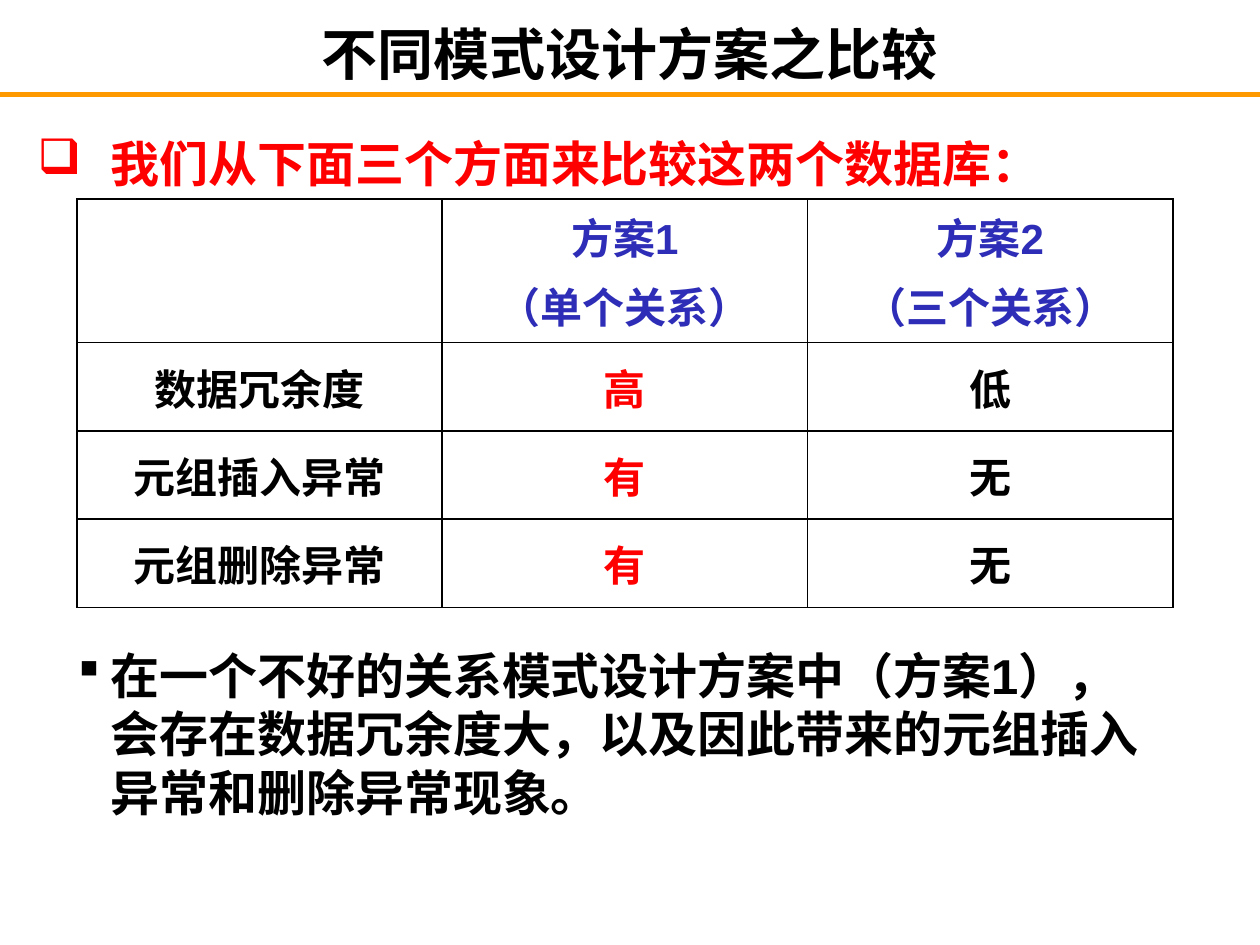
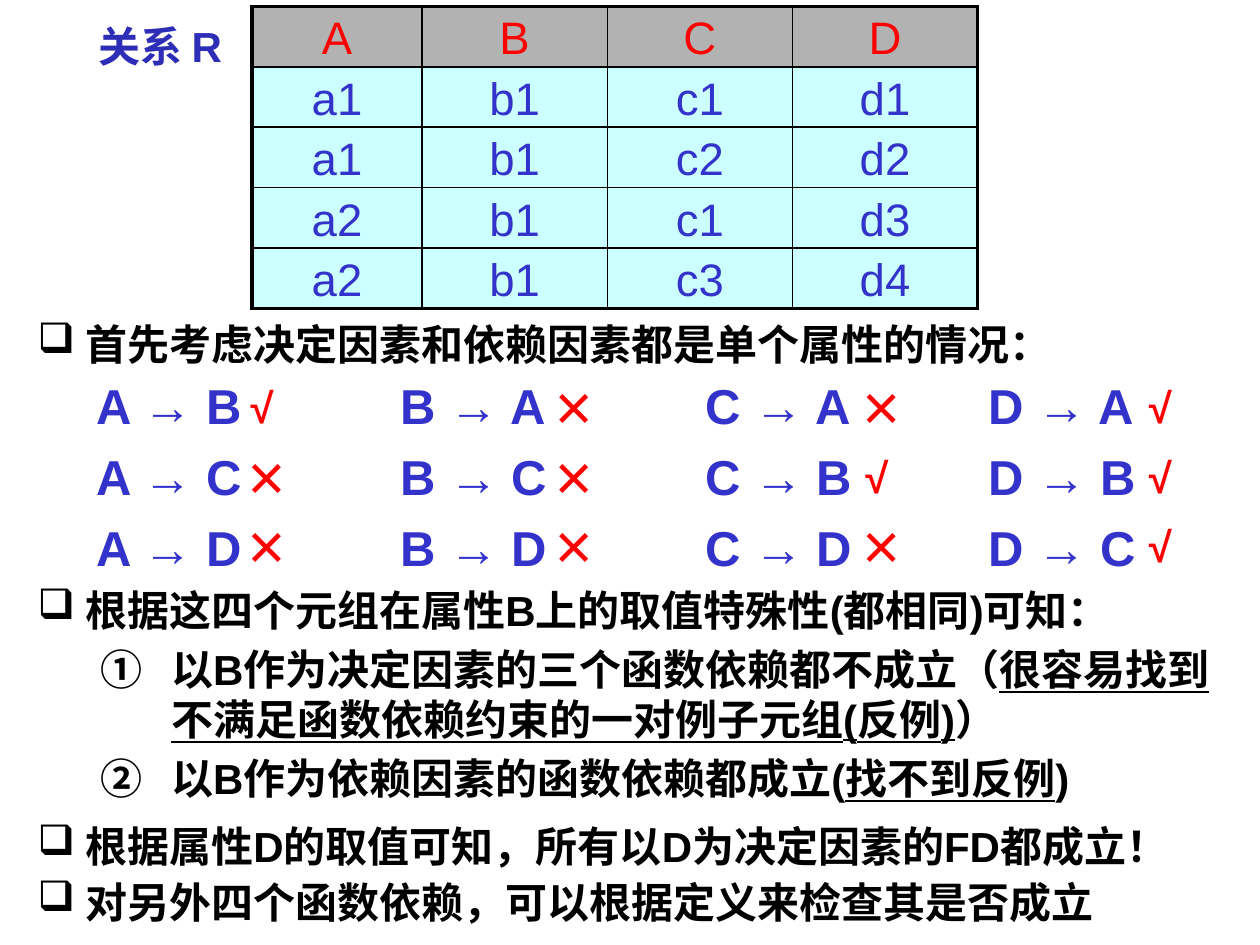
from lxml import etree
from pptx import Presentation
from pptx import util as u
from pptx.dml import color
from pptx.enum import lang, shapes, text
from pptx.oxml import ns

BLACK, WHITE, RED, ORANGE = "000000", "FFFFFF", "FF0000", "FF9900"
NAVY, BLUE, GRAY, CYAN = "2D2DB7", "3333CC", "B2B2B2", "CCFFFF"
SERIF, SANS, SYMBOLS = "Times New Roman", "Arial", "Wingdings"
WIDTH, HEIGHT = 10, 7.5
MARGIN, BODY_WIDTH = 0.2, 9.58
SQUARE, DOT, CIRCLED = "q", "§", "circleNumDbPlain"
ITEM_INDENT, NUMBER_INDENT = (0.38, -0.38), (1.06, -0.56)

TITLE = "不同模式设计方案之比较"
COMPARE_HEADING = "我们从下面三个方面来比较这两个数据库："
COMPARISON = [
    ("", "方案1\n（单个关系）", "方案2\n（三个关系）"),
    ("数据冗余度", "高", "低"),
    ("元组插入异常", "有", "无"),
    ("元组删除异常", "有", "无"),
]
CONCLUSION = ("在一个不好的关系模式设计方案中（方案1），会存在数据冗余度大，"
              "以及因此带来的元组插入异常和删除异常现象。")

RELATION_NAME = "关系 R"
RELATION = ["A B C D".split(), "a1 b1 c1 d1".split(), "a1 b1 c2 d2".split(),
            "a2 b1 c1 d3".split(), "a2 b1 c3 d4".split()]
SINGLE_HEADING = "首先考虑决定因素和依赖因素都是单个属性的情况："
DEPENDENCIES = [
    {"left": 0.67, "width": 2.08, "mark": 1.89, "holds": {"A → B": True, "A → C": False, "A → D": False}},
    {"left": 3.08, "width": 2, "mark": 4.33, "holds": {"B → A": False, "B → C": False, "B → D": False}},
    {"left": 5.5, "width": 1.92, "mark": 6.77, "holds": {"C → A": False, "C → B": True, "C → D": False}},
    {"left": 7.75, "width": 2, "mark": 9.02, "holds": {"D → A": True, "D → B": True, "D → C": True}},
]
MARKS = {True: ("√", SANS), False: ("☓", SERIF)}
DEPENDENCY_TOP, MARK_TOP, MARK_STEP = 2.89, 3.03, 0.55
FINDINGS = [
    (SQUARE, ITEM_INDENT, ["根据这四个元组在属性B上的取值特殊性(都相同)可知："]),
    (CIRCLED, NUMBER_INDENT, ["以B作为决定因素的三个函数依赖都不成立（",
                              "很容易找到不满足函数依赖约束的一对例子元组(反例)", "）"]),
    (CIRCLED, NUMBER_INDENT, ["以B作为依赖因素的函数依赖都成立(", "找不到反例", ")"]),
]
REMARKS = [(6.46, "根据属性D的取值可知，所有以D为决定因素的FD都成立！"),
           (6.91, "对另外四个函数依赖，可以根据定义来检查其是否成立")]


def rgb(value):
    return color.RGBColor.from_string(value)


def inches(*values):
    return [u.Inches(value) for value in values]


def add_run(paragraph, words, size, hue, font=SANS, bold=True, underline=None):
    run = paragraph.add_run()
    run.text = words
    run.font.size, run.font.name = u.Pt(size), font
    run.font.bold, run.font.underline = bold, underline
    run.font.color.rgb = rgb(hue)
    run.font.language_id = lang.MSO_LANGUAGE_ID.SIMPLIFIED_CHINESE


def set_bullet(paragraph, bullet, indent):
    properties = paragraph._p.get_or_add_pPr()
    properties.set("marL", str(u.Inches(indent[0])))
    properties.set("indent", str(u.Inches(indent[1])))
    if bullet == CIRCLED:
        etree.SubElement(properties, ns.qn("a:buAutoNum"), type=bullet)
    elif bullet:
        etree.SubElement(properties, ns.qn("a:buFont"), typeface=SYMBOLS, charset="2")
        etree.SubElement(properties, ns.qn("a:buChar"), char=bullet)


def next_paragraph(frame, index, gap=0):
    if index == 0:
        return frame.paragraphs[0]
    paragraph = frame.add_paragraph()
    paragraph.space_before = u.Pt(gap)
    return paragraph


def add_text(slide, box, items, size, hue, font=SANS, spacing=None, inset=0.05):
    frame = slide.shapes.add_textbox(*inches(*box)).text_frame
    frame.word_wrap = True
    frame.margin_top = frame.margin_bottom = u.Inches(inset)
    for index, (bullet, indent, parts) in enumerate(items):
        paragraph = next_paragraph(frame, index, size * 0.2)
        set_bullet(paragraph, bullet, indent)
        paragraph.line_spacing = spacing
        for position, words in enumerate(parts):
            add_run(paragraph, words, size, hue, font, underline=position == 1 or None)


def set_borders(cell, widths):
    properties = cell._tc.get_or_add_tcPr()
    for index, (side, width) in enumerate(zip("LRTB", widths)):
        line = etree.Element(ns.qn(f"a:ln{side}"), w=str(u.Pt(width)))
        fill = etree.SubElement(line, ns.qn("a:solidFill"))
        etree.SubElement(fill, ns.qn("a:srgbClr"), val=BLACK)
        properties.insert(index, line)


def add_grid(slide, corner, columns, heights, rows, style, edge=1, inset=0.05,
             size=24, bold=True, spacing=None):
    box = inches(*corner, sum(columns), sum(heights))
    table = slide.shapes.add_table(len(rows), len(columns), *box).table
    table.first_row = table.horz_banding = False
    for column, width in zip(table.columns, columns):
        column.width = u.Inches(width)
    last_row, last_column = len(rows) - 1, len(columns) - 1
    for r, row in enumerate(rows):
        table.rows[r].height = u.Inches(heights[r])
        for c, words in enumerate(row):
            cell = table.cell(r, c)
            outer = (c == 0, c == last_column, r == 0, r == last_row)
            set_borders(cell, [edge if side else 1 for side in outer])
            cell.vertical_anchor = text.MSO_ANCHOR.MIDDLE
            cell.margin_top = cell.margin_bottom = u.Inches(inset)
            hue, fill = style(r, c)
            if fill:
                cell.fill.solid()
                cell.fill.fore_color.rgb = rgb(fill)
            else:
                cell.fill.background()
            for index, line in enumerate(words.split("\n") if words else []):
                paragraph = next_paragraph(cell.text_frame, index, size * 0.2)
                paragraph.alignment = text.PP_ALIGN.CENTER
                paragraph.line_spacing = spacing
                add_run(paragraph, line, size, hue, bold=bold)


def comparison_style(row, column):
    return (NAVY if row == 0 else RED if column == 1 else BLACK), None


def relation_style(row, column):
    return (RED, GRAY) if row == 0 else (BLUE, CYAN)


def add_title(slide, words):
    title = slide.shapes.title
    title.left, title.top, title.width, title.height = inches(0.75, 0.17, 8.5, 0.5)
    frame = title.text_frame
    frame.margin_top = frame.margin_bottom = 0
    frame.vertical_anchor = text.MSO_ANCHOR.MIDDLE
    paragraph = frame.paragraphs[0]
    paragraph.alignment = text.PP_ALIGN.CENTER
    add_run(paragraph, words, 32, BLACK, SERIF)
    rule = slide.shapes.add_connector(shapes.MSO_CONNECTOR.STRAIGHT, *inches(0, HEIGHT / 10, WIDTH, HEIGHT / 10))
    rule.line.color.rgb, rule.line.width = rgb(ORANGE), u.Pt(3)
    etree.SubElement(rule._element.spPr, ns.qn("a:effectLst"))


def add_dependencies(slide, group):
    box = inches(group["left"], DEPENDENCY_TOP, group["width"], 1.7)
    shape = slide.shapes.add_shape(shapes.MSO_SHAPE.RECTANGLE, *box)
    shape.shadow.inherit = False
    shape.fill.solid()
    shape.fill.fore_color.rgb = rgb(WHITE)
    shape.line.fill.background()
    frame = shape.text_frame
    frame.margin_top = frame.margin_bottom = 0
    frame.vertical_anchor = text.MSO_ANCHOR.TOP
    for index, words in enumerate(group["holds"]):
        paragraph = next_paragraph(frame, index)
        set_bullet(paragraph, None, ITEM_INDENT)
        paragraph.alignment = text.PP_ALIGN.LEFT
        paragraph.line_spacing = 1.2
        add_run(paragraph, words, 28, BLUE)


def add_marks(slide, group):
    for index, holds in enumerate(group["holds"].values()):
        mark, font = MARKS[holds]
        box = (group["mark"], MARK_TOP + index * MARK_STEP, 0.67, 0.4)
        add_text(slide, box, [(None, ITEM_INDENT, [mark])], 24, RED, font, inset=0)


def build_comparison(presentation):
    slide = presentation.slides.add_slide(presentation.slide_layouts[5])
    add_title(slide, TITLE)
    add_text(slide, (MARGIN, 0.92, BODY_WIDTH, 0.76), [(SQUARE, (0.58, -0.58), [COMPARE_HEADING])],
             28, RED, SERIF, 1.2)
    add_grid(slide, (0.61, 1.58), [2.9] * 3, [1.14] + [0.7] * 3, COMPARISON, comparison_style)
    add_text(slide, (0.5, 5.07, 8.83, 1.51), [(DOT, (0.28, -0.26), [CONCLUSION])], 28, BLACK)


def build_relation(presentation):
    slide = presentation.slides.add_slide(presentation.slide_layouts[6])
    for group in DEPENDENCIES:
        add_dependencies(slide, group)
    add_text(slide, (MARGIN, 2.44, BODY_WIDTH, 0.54), [(SQUARE, ITEM_INDENT, [SINGLE_HEADING])],
             24, BLACK, SERIF, 1.1)
    add_grid(slide, (2, 0.05), [1.35] + [1.47] * 3, [0.48] * 5, RELATION, relation_style,
             edge=2.25, inset=0, size=26, bold=False, spacing=1.1)
    for group in DEPENDENCIES:
        add_marks(slide, group)
    add_text(slide, (0.68, 0.11, 1.25, 0.5), [(None, (0, 0), [RELATION_NAME])], 24, NAVY)
    add_text(slide, (MARGIN, 4.59, BODY_WIDTH, 1.88), FINDINGS, 24, BLACK)
    for top, words in REMARKS:
        add_text(slide, (MARGIN, top, BODY_WIDTH, 0.5), [(SQUARE, ITEM_INDENT, [words])], 24, BLACK)


def main():
    presentation = Presentation()
    presentation.slide_width, presentation.slide_height = inches(WIDTH, HEIGHT)
    build_comparison(presentation)
    build_relation(presentation)
    presentation.save("out.pptx")


if __name__ == "__main__":
    main()
